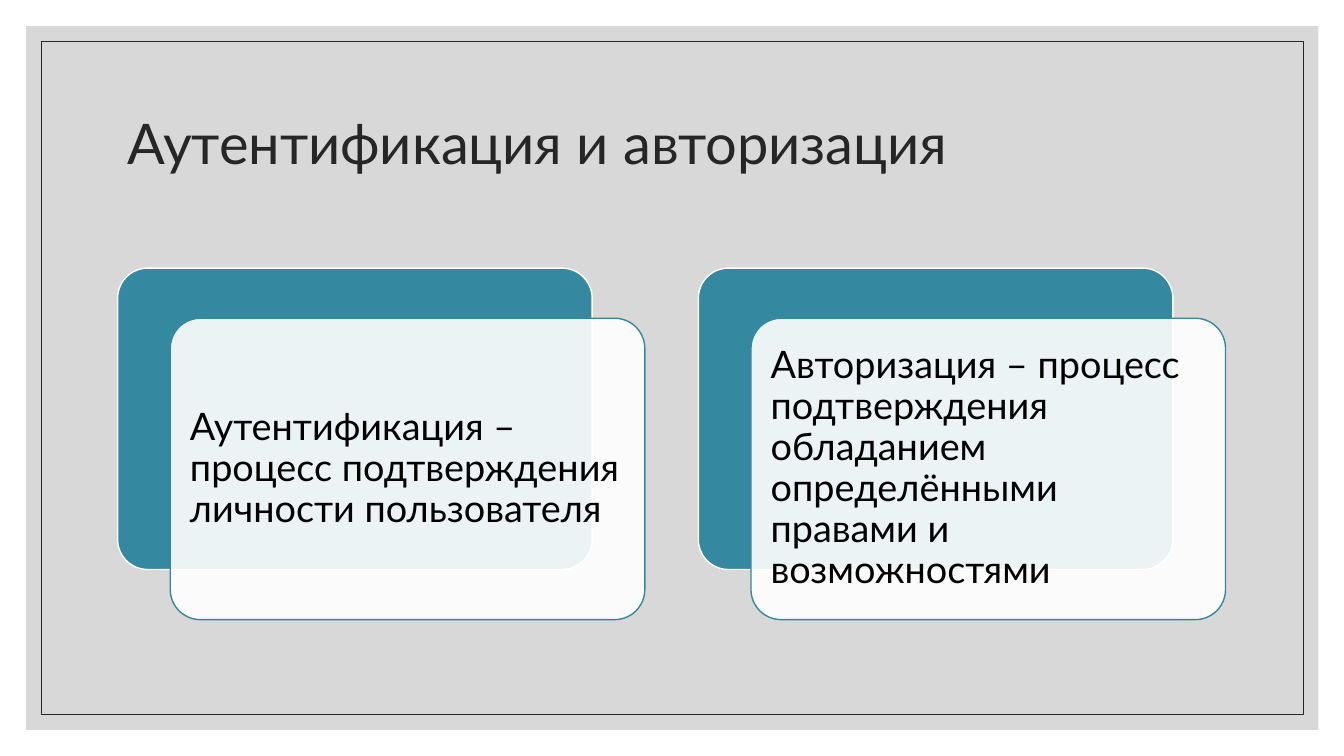
import pptx
import pptx.dml.color
import pptx.enum.shapes
import pptx.enum.text
import pptx.oxml
import pptx.oxml.ns
import pptx.util
from pptx.util import Pt

COLORS = {
    "backdrop": "BFBFBF",
    "ink": "262626",
    "accent": "3488A0",
    "white": "FFFFFF",
    "black": "000000",
}
FONT = "Lato"
SHAPES = pptx.enum.shapes.MSO_SHAPE

# Card geometry in points
CARD_LEFT, CARD_TOP = 84, 191.5
CARD_WIDTH, CARD_HEIGHT = 339, 215.3
CARD_STEP = 414.8
FRONT_SHIFT_X, FRONT_SHIFT_Y = 37.6, 35.8
CARD_INSET = 7.8

DEFINITIONS = [
    "Аутентификация – процесс подтверждения личности пользователя",
    "Авторизация – процесс подтверждения обладанием "
    "определёнными правами и возможностями",
]


def rgb(name):
    return pptx.dml.color.RGBColor.from_string(COLORS[name])


def add_panel(slide, kind, box, fill=None, opacity=100, line=None, line_width=1):
    """Add a flat shape with an optional fill, opacity in percent and outline."""
    panel = slide.shapes.add_shape(kind, *(Pt(length) for length in box))
    panel.shadow.inherit = False
    if fill:
        panel.fill.solid()
        panel.fill.fore_color.rgb = rgb(fill)
        if opacity < 100:
            color = panel.fill._xPr.find(".//" + pptx.oxml.ns.qn("a:srgbClr"))
            alpha = pptx.oxml.parse_xml(
                f'<a:alpha {pptx.oxml.ns.nsdecls("a")} val="{opacity * 1000}"/>')
            color.append(alpha)
    else:
        panel.fill.background()
    if line:
        panel.line.color.rgb = rgb(line)
        panel.line.width = Pt(line_width)
    else:
        panel.line.fill.background()
    return panel


def write_text(frame, text, size, color):
    """Write one left-aligned, vertically centred paragraph."""
    frame.word_wrap = True
    frame.auto_size = pptx.enum.text.MSO_AUTO_SIZE.NONE
    frame.vertical_anchor = pptx.enum.text.MSO_ANCHOR.MIDDLE
    paragraph = frame.paragraphs[0]
    paragraph.alignment = pptx.enum.text.PP_ALIGN.LEFT
    paragraph.line_spacing = 0.9
    run = paragraph.add_run()
    run.text = text
    run.font.name = FONT
    run.font.size = Pt(size)
    run.font.color.rgb = rgb(color)


def add_title(slide, text):
    title = slide.shapes.title
    title.left, title.top = Pt(84), Pt(50.4)
    title.width, title.height = Pt(792), Pt(108)
    write_text(title.text_frame, text, 40, "ink")
    # Bring the title in front of the backdrop
    title.element.getparent().append(title.element)


def add_definition_card(slide, left, text):
    """Add a coloured card with a translucent text card shifted over it."""
    back = add_panel(slide, SHAPES.ROUNDED_RECTANGLE,
                     (left, CARD_TOP, CARD_WIDTH, CARD_HEIGHT),
                     fill="accent", line="white")
    front = add_panel(slide, SHAPES.ROUNDED_RECTANGLE,
                      (left + FRONT_SHIFT_X, CARD_TOP + FRONT_SHIFT_Y,
                       CARD_WIDTH, CARD_HEIGHT),
                      fill="white", opacity=90, line="accent")
    for card in (back, front):
        card.adjustments[0] = 0.1
    frame = front.text_frame
    frame.margin_left = frame.margin_right = Pt(CARD_INSET)
    frame.margin_top = frame.margin_bottom = Pt(CARD_INSET)
    write_text(frame, text, 27, "black")


def main():
    presentation = pptx.Presentation()
    presentation.slide_width, presentation.slide_height = Pt(960), Pt(540)
    slide = presentation.slides.add_slide(presentation.slide_layouts[5])

    # Backdrop and thin frame
    add_panel(slide, SHAPES.RECTANGLE, (18.7, 18.7, 923, 502.6),
              fill="backdrop", opacity=60)
    add_panel(slide, SHAPES.RECTANGLE, (29.5, 29.5, 901.4, 481),
              line="ink", line_width=0.5)

    # Heading
    add_title(slide, "Аутентификация и авторизация")

    # Definitions side by side
    for column, definition in enumerate(DEFINITIONS):
        add_definition_card(slide, CARD_LEFT + column * CARD_STEP, definition)

    presentation.save("out.pptx")


if __name__ == "__main__":
    main()
